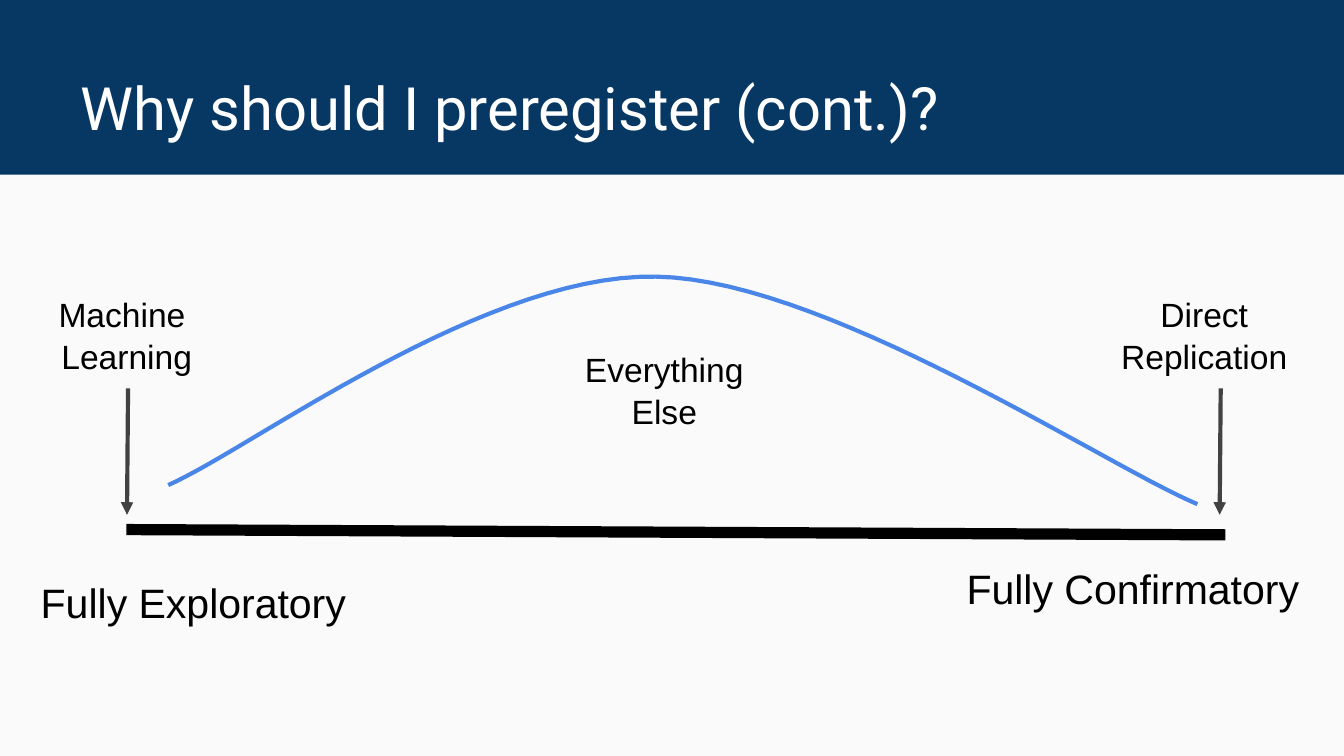
import pptx
import pptx.util
import pptx.dml.color
import pptx.enum.shapes
import pptx.enum.text
import pptx.oxml.ns
import lxml.etree

Cm, Pt = pptx.util.Cm, pptx.util.Pt
RGB = pptx.dml.color.RGBColor
Align = pptx.enum.text.PP_ALIGN
Anchor = pptx.enum.text.MSO_ANCHOR
qn = pptx.oxml.ns.qn

NAVY = RGB(0x07, 0x37, 0x63)
PALE = RGB(0xFA, 0xFA, 0xFA)
WHITE = RGB(0xFF, 0xFF, 0xFF)
BLACK = RGB(0x00, 0x00, 0x00)
GRAY = RGB(0x42, 0x42, 0x42)
BLUE = RGB(0x4A, 0x86, 0xE8)


def set_text(box, text, font, size, color, align):
    frame = box.text_frame
    frame.word_wrap = True
    frame.margin_left = frame.margin_right = Cm(0.25)
    frame.margin_top = frame.margin_bottom = Cm(0.25)
    frame.text = text
    for para in frame.paragraphs:
        para.alignment = align
        for run in para.runs:
            run.font.name = font
            run.font.size = Pt(size)
            run.font.color.rgb = color


def add_line(x1, y1, x2, y2, color, width):
    line = slide.shapes.add_connector(
        pptx.enum.shapes.MSO_CONNECTOR.STRAIGHT, Cm(x1), Cm(y1), Cm(x2), Cm(y2))
    line.line.color.rgb = color
    line.line.width = Pt(width)
    lxml.etree.SubElement(line._element.spPr, qn("a:effectLst"))
    return line


deck = pptx.Presentation()
deck.slide_width, deck.slide_height = Cm(25.4), Cm(14.29)
slide = deck.slides.add_slide(deck.slide_layouts[5])

# Navy background with a pale panel behind the title
slide.background.fill.solid()
slide.background.fill.fore_color.rgb = NAVY
panel = slide.shapes.add_shape(
    pptx.enum.shapes.MSO_SHAPE.RECTANGLE, 0, Cm(3.3), Cm(25.4), Cm(10.99))
panel.shadow.inherit = False
panel.fill.solid()
panel.fill.fore_color.rgb = PALE
panel.line.fill.background()

# Title
title = slide.shapes.title
title.left, title.top, title.width, title.height = Cm(1.27), Cm(0), Cm(22.83), Cm(2.95)
set_text(title, "Why should I preregister (cont.)?", "Roboto", 32, WHITE, Align.LEFT)
title.text_frame.vertical_anchor = Anchor.BOTTOM

# Axis
add_line(2.39, 10.01, 23.16, 10.11, BLACK, 6)

# Arrows down to both ends of the axis
for x in (2.4, 23.05):
    arrow = add_line(x + 0.02, 7.34, x, 9.73, GRAY, 2.25)
    lxml.etree.SubElement(arrow.line._get_or_add_ln(), qn("a:tailEnd"), type="triangle")

# Bell curve: points along two cubic pieces
pieces = [
    [(3.18, 9.17), (4.7, 8.51), (9.14, 5.16), (12.4, 5.23)],
    [(12.4, 5.23), (15.62, 5.28), (20.9, 8.81), (22.63, 9.53)],
]
steps = 30
points = []
for piece in pieces:
    for step in range(steps + 1):
        t = step / steps
        parts = ((1 - t) ** 3, 3 * t * (1 - t) ** 2, 3 * t * t * (1 - t), t ** 3)
        points.append([Cm(sum(w * p[axis] for w, p in zip(parts, piece)))
                       for axis in (0, 1)])
path = slide.shapes.build_freeform(*points[0])
path.add_line_segments(points[1:], close=False)
curve = path.convert_to_shape()
curve.shadow.inherit = False
curve.fill.background()
curve.line.color.rgb = BLUE
curve.line.width = Pt(2.25)

# Labels: text, left, top, width, height, size
labels = [
    ("Fully Exploratory", 0.3, 10.62, 6.71, 1.4, 22),
    ("Fully Confirmatory", 17.75, 10.36, 7.32, 1.4, 22),
    ("Machine \nLearning", 0.58, 5.26, 3.63, 2.13, 18),
    ("Direct\nReplication", 20.65, 5.26, 4.22, 2.13, 18),
    ("Everything\nElse", 10.74, 6.3, 3.63, 2.13, 18),
]
for text, left, top, width, height, size in labels:
    box = slide.shapes.add_textbox(Cm(left), Cm(top), Cm(width), Cm(height))
    set_text(box, text, "Arial", size, BLACK, Align.CENTER)
    for para in box.text_frame.paragraphs:
        para.line_spacing = 1.05

deck.save("out.pptx")
